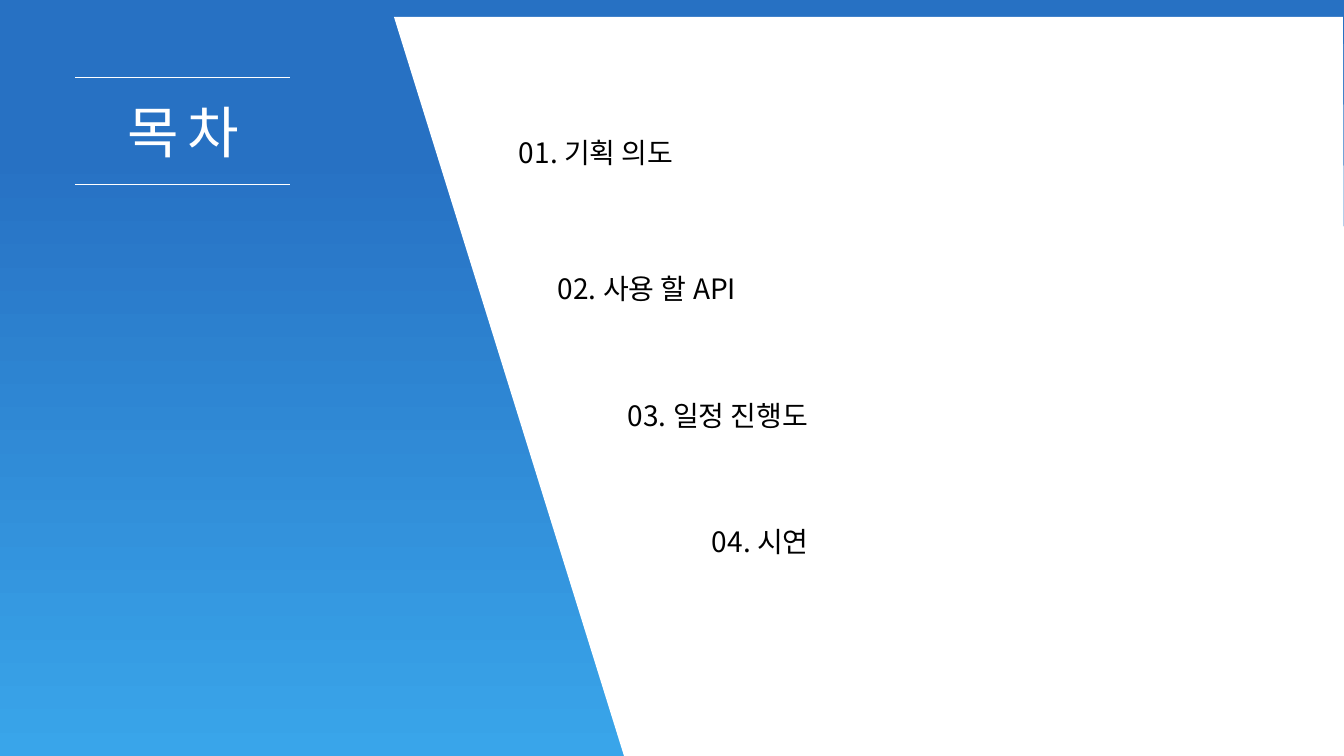
from lxml import etree
from pptx import Presentation
from pptx.dml.color import RGBColor
from pptx.enum.shapes import MSO_CONNECTOR
from pptx.enum.text import MSO_ANCHOR, PP_ALIGN
from pptx.oxml.ns import qn
from pptx.util import Emu, Pt

STRAIGHT = MSO_CONNECTOR.STRAIGHT
TOP = MSO_ANCHOR.TOP
LEFT, CENTER = PP_ALIGN.LEFT, PP_ALIGN.CENTER

# Content: text and its box in pixels (left, top, width, height)
TITLE = ("목차", (115, 93, 136, 78))
AGENDA = [
    ("01. 기획 의도", (509, 131, 191, 44)),
    ("02. 사용 할 API", (548, 267, 200, 44)),
    ("03. 일정 진행도", (618, 394, 219, 44)),
    ("04. 시연", (702, 520, 124, 44)),
]
TITLE_RULES = {"left": 75, "right": 290, "tops": (78, 185)}
PANEL = [(394, 17), (1343, 17), (1344, 268), (1344, 770), (625, 759)]

COLORS = {"deep": "2771C3", "light": "39A5EA", "white": "FFFFFF", "black": "000000"}
GRADIENT = [(0.2, "deep"), (1.0, "light")]
FONT = "Noto Sans CJK KR"
SCALE = 914400 / 100.8


def px(length):
    """Turn pixels into EMU."""
    return Emu(round(length * SCALE))


def color(name):
    """Look up a named colour."""
    return RGBColor.from_string(COLORS[name])


def paint_background(page):
    """Fill the page with the blue gradient, running from top to bottom."""
    fill = page.background.fill
    fill.gradient()
    fill.gradient_angle = 270
    for stop, (position, name) in zip(fill.gradient_stops, GRADIENT):
        stop.position = position
        stop.color.rgb = color(name)


def add_panel(page, points):
    """Draw the slanted white panel."""
    builder = page.shapes.build_freeform(px(points[0][0]), px(points[0][1]))
    builder.add_line_segments([(px(x), px(y)) for x, y in points[1:]], close=True)
    panel = builder.convert_to_shape()
    panel.shadow.inherit = False
    panel.fill.solid()
    panel.fill.fore_color.rgb = color("white")
    panel.line.fill.background()


def add_rule(page, left, right, top):
    """Draw one thin white horizontal line."""
    rule = page.shapes.add_connector(STRAIGHT, px(left), px(top), px(right), px(top))
    rule.line.color.rgb = color("white")
    rule.line.width = Pt(0.75)
    etree.SubElement(rule._element.spPr, qn("a:effectLst"))


def add_text(page, text, place, size=20, ink="black", align=LEFT, wrap=True, spacing=0):
    """Write text in a box; spacing is the letter spacing in points."""
    box = page.shapes.add_textbox(*map(px, place))
    frame = box.text_frame
    frame.word_wrap = wrap
    frame.vertical_anchor = TOP
    para = frame.paragraphs[0]
    para.alignment = align
    span = para.add_run()
    span.text = text
    span.font.size = Pt(size)
    span.font.name = FONT
    span.font.color.rgb = color(ink)
    properties = span.font._element
    etree.SubElement(properties, qn("a:ea"), typeface=FONT)
    if spacing:
        properties.set("spc", str(spacing * 100))


deck = Presentation()
deck.slide_width, deck.slide_height = px(1344), px(756)
page = deck.slides.add_slide(deck.slide_layouts[6])

paint_background(page)
add_panel(page, PANEL)
for top in TITLE_RULES["tops"]:
    add_rule(page, TITLE_RULES["left"], TITLE_RULES["right"], top)
add_text(page, *TITLE, size=40, ink="white", align=CENTER, wrap=False, spacing=6)
for text, place in AGENDA:
    add_text(page, text, place)

deck.save("out.pptx")
